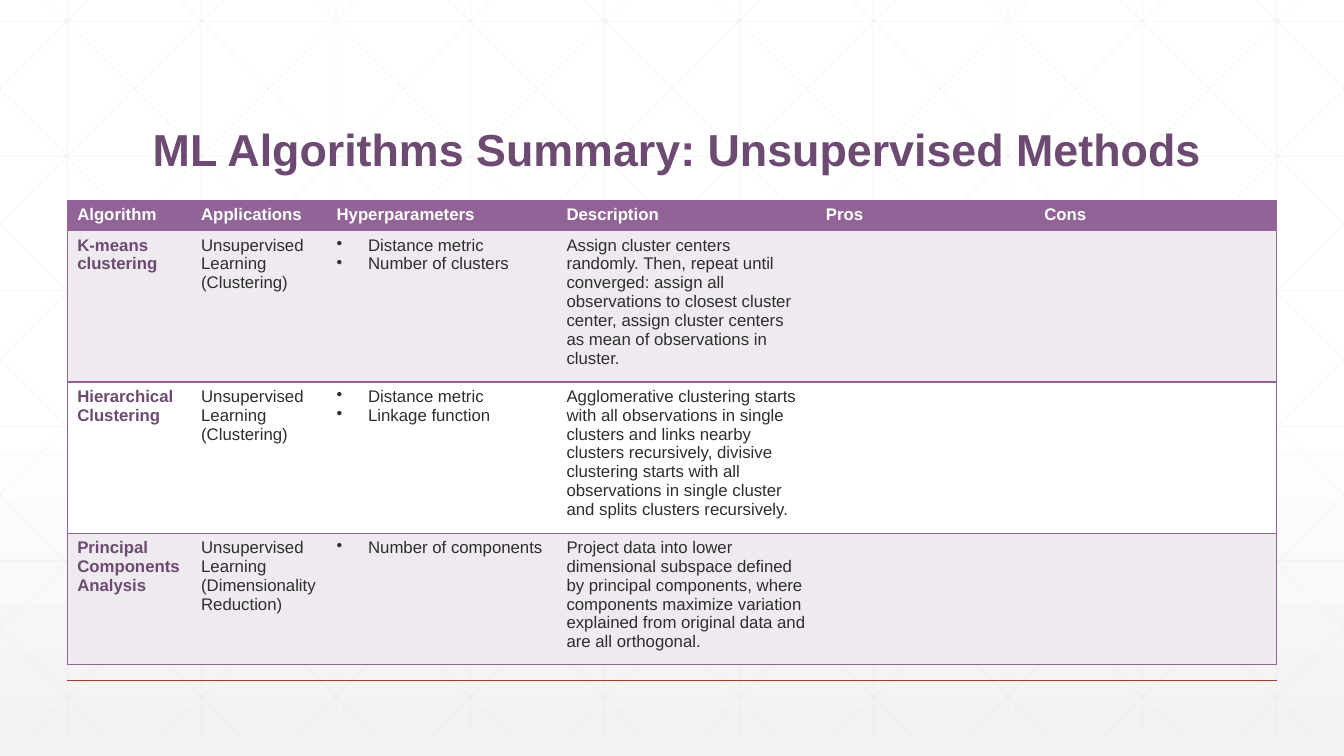
from copy import deepcopy

from lxml import etree
from pptx import Presentation
from pptx import util as u
from pptx.dml.color import RGBColor
from pptx.enum import shapes, text
from pptx.oxml.ns import qn

PX = 9525
WIDTH, HEIGHT = 1280, 720
GRID_TOP, GRID_BOTTOM = -20, 700
GRID_STEP = 128
DIAGONAL_RUN = 716

COLORS = {
    "white": "FFFFFF",
    "fade": "F2F2F2",
    "grid": "D9D9D9",
    "rule": "A43F27",
    "heading": "6D4A71",
    "header": "926397",
    "band": "EEEAEF",
    "body": "2D2E2D",
}

COLUMN_WIDTHS = [118, 129, 219, 247, 208, 231]
ROW_HEIGHTS = [27, 135, 135, 117]
ROWS = [
    ["Algorithm", "Applications", "Hyperparameters", "Description", "Pros", "Cons"],
    ["K-means clustering", "Unsupervised Learning (Clustering)",
     ["Distance metric", "Number of clusters"],
     "Assign cluster centers randomly. Then, repeat until converged: assign all "
     "observations to closest cluster center, assign cluster centers as mean of "
     "observations in cluster.", "", ""],
    ["Hierarchical Clustering", "Unsupervised Learning (Clustering)",
     ["Distance metric", "Linkage function"],
     "Agglomerative clustering starts with all observations in single clusters and "
     "links nearby clusters recursively, divisive clustering starts with all "
     "observations in single cluster and splits clusters recursively.", "", ""],
    ["Principal Components Analysis", "Unsupervised Learning (Dimensionality Reduction)",
     ["Number of components"],
     "Project data into lower dimensional subspace defined by principal components, "
     "where components maximize variation explained from original data and are all "
     "orthogonal.", "", ""],
]


def px(length):
    return u.Emu(round(length) * PX)


def rgb(name):
    return RGBColor.from_string(COLORS[name])


def write(paragraph, words, size=12, color="body", bold=False, bullet=False, spacing=None):
    run = paragraph.add_run()
    run.text = words
    run.font.name = "Arial"
    run.font.size = u.Pt(size)
    run.font.bold = bold
    run.font.color.rgb = rgb(color)
    if spacing:
        paragraph.line_spacing = spacing
    if bullet:
        properties = paragraph._p.get_or_add_pPr()
        properties.set("marL", str(px(30)))
        properties.set("indent", str(px(-30)))
        etree.SubElement(properties, qn("a:buChar"), char="•")


def add_line(slide, start, end, color, width, opacity=None):
    line = slide.shapes.add_connector(
        shapes.MSO_CONNECTOR.STRAIGHT, *map(px, start), *map(px, end))
    line.line.color.rgb = rgb(color)
    line.line.width = u.Pt(width)
    properties = line._element.spPr
    if opacity:
        fill_color = properties.find(".//" + qn("a:srgbClr"))
        etree.SubElement(fill_color, qn("a:alpha"), val=str(opacity * 1000))
    etree.SubElement(properties, qn("a:effectLst"))


def fill_background(slide):
    fill = slide.background.fill
    fill.gradient()
    fill.gradient_angle = 270
    stop_list = slide.element.find(".//" + qn("a:gsLst"))
    stop_list.insert(1, deepcopy(stop_list[0]))
    stops = [(0, "white"), (0.53, "white"), (1, "fade")]
    for stop, (position, color) in zip(fill.gradient_stops, stops):
        stop.position = position
        stop.color.rgb = rgb(color)


def grid_lines():
    """Yield the ends of all grid lines, cut off at the slide edges."""
    for column in range(10):
        x = 64 + GRID_STEP * column
        yield (x, 0), (x, GRID_BOTTOM)
    for row in range(6):
        y = 20 + 128.6 * row
        yield (0, y), (WIDTH, y)
    slope = (GRID_BOTTOM - GRID_TOP) / DIAGONAL_RUN
    for index in range(-5, 10):
        origin = 24 + GRID_STEP * index
        top = max(0, GRID_TOP - origin * slope)
        bottom = min(GRID_BOTTOM, GRID_TOP + (WIDTH - origin) * slope)
        left, right = (origin + (y - GRID_TOP) / slope for y in (top, bottom))
        yield (left, top), (right, bottom)
        yield (WIDTH - left, top), (WIDTH - right, bottom)


def add_title(slide, words):
    box = slide.shapes.add_textbox(px(136), px(53), px(1044), px(120))
    frame = box.text_frame
    frame.word_wrap = True
    frame.vertical_anchor = text.MSO_ANCHOR.BOTTOM
    write(frame.paragraphs[0], words, size=32, color="heading", bold=True, spacing=0.9)


def set_borders(cell, visible_sides):
    properties = cell._tc.get_or_add_tcPr()
    for side in "LRTB":
        border = etree.SubElement(properties, qn("a:ln" + side), w=str(u.Pt(1)))
        if side in visible_sides:
            fill = etree.SubElement(border, qn("a:solidFill"))
            etree.SubElement(fill, qn("a:srgbClr"), val=COLORS["header"])
        else:
            etree.SubElement(border, qn("a:noFill"))


def fill_cell(cell, content, row, column):
    sides = "TB"
    if column == 0:
        sides += "L"
    if column == len(COLUMN_WIDTHS) - 1:
        sides += "R"
    set_borders(cell, sides)
    cell.fill.solid()
    cell.fill.fore_color.rgb = rgb("header" if row == 0 else "band" if row % 2 else "white")
    color = "white" if row == 0 else "heading" if column == 0 else "body"
    bulleted = isinstance(content, list)
    frame = cell.text_frame
    for index, words in enumerate(content if bulleted else [content]):
        paragraph = frame.add_paragraph() if index else frame.paragraphs[0]
        if words:
            write(paragraph, words, color=color, bold=color != "body", bullet=bulleted)


def add_summary_table(slide):
    table = slide.shapes.add_table(
        len(ROWS), len(COLUMN_WIDTHS), px(64), px(191),
        px(sum(COLUMN_WIDTHS)), px(sum(ROW_HEIGHTS))).table
    table.horz_banding = False
    for column, width in zip(table.columns, COLUMN_WIDTHS):
        column.width = px(width)
    for row, height in zip(table.rows, ROW_HEIGHTS):
        row.height = px(height)
    for row, contents in enumerate(ROWS):
        for column, content in enumerate(contents):
            fill_cell(table.cell(row, column), content, row, column)


def main():
    presentation = Presentation()
    presentation.slide_width = px(WIDTH)
    presentation.slide_height = px(HEIGHT)
    slide = presentation.slides.add_slide(presentation.slide_layouts[6])
    fill_background(slide)
    for start, end in grid_lines():
        add_line(slide, start, end, "grid", 0.5, opacity=25)
    add_line(slide, (64, 648), (1216, 648), "rule", 1)
    add_title(slide, "ML Algorithms Summary: Unsupervised Methods")
    add_summary_table(slide)
    presentation.save("out.pptx")


if __name__ == "__main__":
    main()
